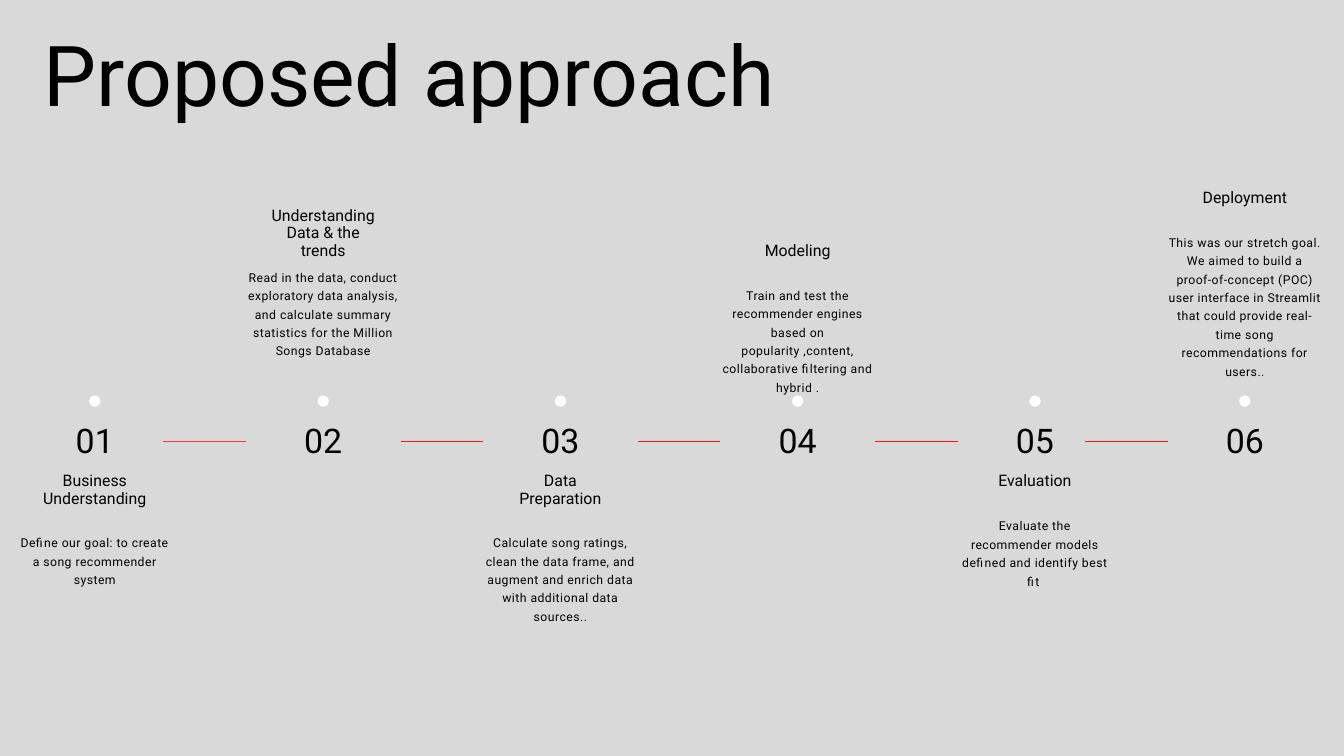
from dataclasses import dataclass
from itertools import pairwise

from lxml import etree
from pptx import Presentation
from pptx import util as u
from pptx.dml.color import RGBColor
from pptx.enum import shapes, text
from pptx.oxml.ns import qn


@dataclass(frozen=True)
class TextStyle:
    size: float
    leading: float
    align: text.PP_ALIGN = text.PP_ALIGN.CENTER
    tracking: int = 0


@dataclass(frozen=True)
class Theme:
    font: str = "Roboto"
    ink: str = "000000"
    background: str = "D9D9D9"
    dot: str = "FFFFFF"
    first_link: str = "ED3D3D"
    link: str = "FF1616"
    title: TextStyle = TextStyle(90, 99, text.PP_ALIGN.LEFT)
    number: TextStyle = TextStyle(36.3, 39.9)
    heading: TextStyle = TextStyle(17, 18.7)
    body: TextStyle = TextStyle(13.1, 19.7, tracking=50)


@dataclass(frozen=True)
class Frame:
    left: float
    top: float
    width: float
    height: float

    def lengths(self) -> tuple[u.Length, ...]:
        return tuple(u.Pt(v) for v in (self.left, self.top, self.width, self.height))


@dataclass(frozen=True)
class Step:
    center: float
    heading: str
    heading_top: float
    heading_lines: int
    body: str
    body_top: float
    body_lines: int


THEME = Theme()
DOT_SIZE = 12.2
DOT_CENTER_Y = 429.8
NUMBER_TOP = 453.6
LINK_Y = 473.4
LINK_LENGTH = 88.56
LINK_WEIGHT = 0.72
PITCH = 254.2
SECOND = 346.3
LOWER_HEADING = 506.2
LOWER_BODY = 569.8

STEPS = [
    Step(101.6, "Business Understanding", LOWER_HEADING, 2,
         "Define our goal: to create a song recommender system", LOWER_BODY, 3),
    Step(SECOND, "Understanding Data & the trends", 221.8, 3,
         "Read in the data, conduct exploratory data analysis, and calculate "
         "summary statistics for the Million Songs Database", 285.4, 5),
    Step(SECOND + PITCH, "Data Preparation", LOWER_HEADING, 2,
         "Calculate song ratings, clean the data frame, and augment and enrich "
         "data with additional data sources..", LOWER_BODY, 5),
    Step(SECOND + 2 * PITCH, "Modeling", 259.2, 1,
         "Train and test the recommender engines based on popularity ,content, "
         "collaborative filtering and hybrid .", 304.8, 6),
    Step(SECOND + 3 * PITCH, "Evaluation", LOWER_HEADING, 1,
         "Evaluate the recommender models defined and identify best fit ", 551.8, 4),
    Step(1333.8, "Deployment", 202.3, 1,
         "This was our stretch goal. We aimed to build a proof-of-concept (POC) "
         "user interface in Streamlit that could provide real-time song "
         "recommendations for users..", 247.9, 7),
]


def add_text(parent, words: str, frame: Frame, style: TextStyle) -> None:
    box = parent.add_textbox(*frame.lengths())
    body = box.text_frame
    body.word_wrap = True
    body.auto_size = text.MSO_AUTO_SIZE.SHAPE_TO_FIT_TEXT
    body.margin_left = body.margin_right = u.Pt(0)
    body.margin_top = body.margin_bottom = u.Pt(0)
    para = body.paragraphs[0]
    para.alignment = style.align
    para.line_spacing = u.Pt(style.leading)
    span = para.add_run()
    span.text = words
    span.font.name = THEME.font
    span.font.size = u.Pt(style.size)
    span.font.color.rgb = RGBColor.from_string(THEME.ink)
    if style.tracking:
        span._r.get_or_add_rPr().set("spc", str(style.tracking))


def add_centered(parent, words: str, center: float, top: float, width: float,
                 lines: int, style: TextStyle) -> None:
    frame = Frame(center - width / 2, top, width, lines * style.leading)
    add_text(parent, words, frame, style)


def add_dot(parent, center: float) -> None:
    frame = Frame(center - DOT_SIZE / 2, DOT_CENTER_Y - DOT_SIZE / 2, DOT_SIZE, DOT_SIZE)
    dot = parent.add_shape(shapes.MSO_SHAPE.OVAL, *frame.lengths())
    dot.shadow.inherit = False
    dot.fill.solid()
    dot.fill.fore_color.rgb = RGBColor.from_string(THEME.dot)
    dot.line.fill.background()


def add_link(parent, center: float, color: str) -> None:
    start, end = center - LINK_LENGTH / 2, center + LINK_LENGTH / 2
    link = parent.add_connector(shapes.MSO_CONNECTOR.STRAIGHT,
                                u.Pt(start), u.Pt(LINK_Y), u.Pt(end), u.Pt(LINK_Y))
    link.line.width = u.Pt(LINK_WEIGHT)
    link.line.color.rgb = RGBColor.from_string(color)
    etree.SubElement(link._element.spPr, qn("a:effectLst"))


def add_step(page, index: int, step: Step) -> None:
    group = page.shapes.add_group_shape().shapes
    add_dot(group, step.center)
    add_centered(group, f"{index:02}", step.center, NUMBER_TOP, 50.4, 1, THEME.number)
    add_centered(group, step.body, step.center, step.body_top, 165.6,
                 step.body_lines, THEME.body)
    add_centered(group, step.heading, step.center, step.heading_top, 118.1,
                 step.heading_lines, THEME.heading)


def link_center(before: Step, after: Step) -> float:
    if before is STEPS[0]:
        return after.center - PITCH / 2
    if after is STEPS[-1]:
        return after.center - PITCH / 2 + 0.5
    return (before.center + after.center) / 2


def main() -> None:
    deck = Presentation()
    deck.slide_width, deck.slide_height = u.Pt(1440), u.Pt(810)
    page = deck.slides.add_slide(deck.slide_layouts[6])
    page.background.fill.solid()
    page.background.fill.fore_color.rgb = RGBColor.from_string(THEME.background)

    for before, after in pairwise(STEPS):
        color = THEME.first_link if before is STEPS[0] else THEME.link
        add_link(page.shapes, link_center(before, after), color)
    add_text(page.shapes, "Proposed approach", Frame(46.8, 33.1, 890.6, 101.5), THEME.title)
    for index, step in enumerate(STEPS, start=1):
        add_step(page, index, step)

    deck.save("out.pptx")


if __name__ == "__main__":
    main()
